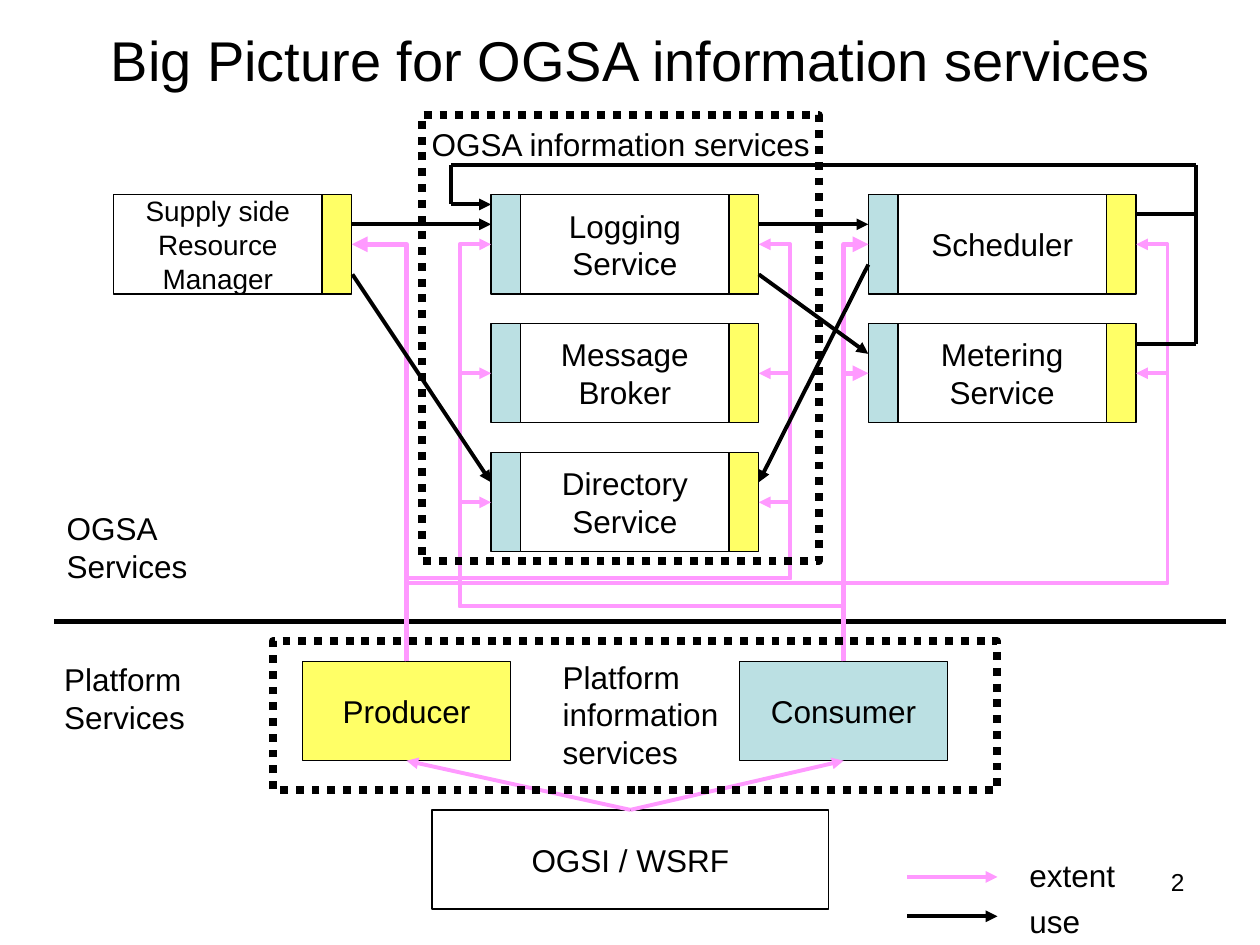
"""Build the OGSA information services overview slide."""
import pptx
import pptx.dml.color
import pptx.enum.dml
import pptx.enum.shapes
import pptx.enum.text
import pptx.oxml.ns
import pptx.util
from lxml import etree

Pt = pptx.util.Pt
qn = pptx.oxml.ns.qn
ALIGN = pptx.enum.text.PP_ALIGN
ANCHOR = pptx.enum.text.MSO_ANCHOR
CONNECTOR = pptx.enum.shapes.MSO_CONNECTOR
RECT = pptx.enum.shapes.MSO_SHAPE.RECTANGLE

FONT = "Arial"
COLORS = {"ink": "000000", "paper": "FFFFFF", "producer": "FFFF66",
          "consumer": "BBE0E3", "extent": "FF99FF"}

TITLE = "Big Picture for OGSA information services"
COLUMNS = [48, 280.6, 496.2]
ROWS = [111.3, 185, 258.7]
BODY_W, BOX_H, TAB_W, OVERSHOOT = 119, 56.7, 17, 18
SERVICES = [
    (1, 0, ["Logging", "Service"], 18),
    (1, 1, ["Message", "Broker"], 18),
    (1, 2, ["Directory", "Service"], 18),
    (2, 0, ["Scheduler"], 18),
    (2, 1, ["Metering", "Service"], 18),
    (0, 0, ["Supply side", "Resource", "Manager"], 16),
]
PLATFORM = [
    ("Producer", 172.8, 378, BODY_W, "producer"),
    ("Consumer", 422.6, 378, BODY_W, "consumer"),
    ("OGSI / WSRF", 246.8, 462.8, 226.8, "paper"),
]
EXTENTS = [
    ("Consumer", 2, "left", [1, 0], None, 3),
    ("Consumer", 1, "left", [2, 1, 0], 346.3, 2.25),
    ("Producer", 1, "right", [2, 1, 0], 330.5, 2.25),
    ("Producer", 2, "right", [1, 0], 333, 2.25),
    ("Producer", 0, "right", [0], None, 3),
]
GROUPS = [(241, 65.7, 226.8, 255.1), (155.9, 366.3, 413.9, 85)]
LABELS = [
    (["Platform", "Services"], 29.6, 373.8, 83.5, 50.4),
    (["OGSA", "Services"], 31, 287.3, 83.5, 50.4),
    (["OGSA information services"], 239.6, 67.9, 231, 28.8),
    (["Platform", "information", "services"], 314.4, 372.3, 108, 72),
    (["extent"], 581.2, 485.6, 63.4, 28.8),
    (["use"], 581.2, 512.2, 43.2, 28.8),
]
USES = [
    (201.4, 128.2, 280.6, 128.2, True),
    (201.4, 156.8, 280.6, 275.6, True),
    (433.6, 128.2, 496.2, 128.2, True),
    (433.6, 156.8, 496.2, 202.2, True),
    (257.9, 116.8, 280.6, 116.8, True),
    (257.9, 94.3, 683.2, 94.3, False),
    (649.3, 122.4, 683.2, 122.4, False),
    (683.2, 94.3, 683.2, 196.4, False),
    (257.9, 94.3, 257.9, 116.8, False),
    (649.3, 196.4, 683.2, 196.4, False),
    (496.2, 151.2, 433.6, 275.6, True),
]


def rgb(name):
    return pptx.dml.color.RGBColor.from_string(COLORS[name])


def write(tf, lines, size, align):
    for i, text in enumerate(lines):
        p = tf.paragraphs[0] if i == 0 else tf.add_paragraph()
        p.alignment = align
        r = p.add_run()
        r.text = text
        r.font.size, r.font.name = Pt(size), FONT
        r.font.color.rgb = rgb("ink")


def add_box(s, x, y, w, h, fill=None, lines=(), size=18, weight=0.75):
    sp = s.shapes.add_shape(RECT, Pt(x), Pt(y), Pt(w), Pt(h))
    sp.shadow.inherit = False
    if fill:
        sp.fill.solid()
        sp.fill.fore_color.rgb = rgb(fill)
    else:
        sp.fill.background()
    sp.line.color.rgb, sp.line.width = rgb("ink"), Pt(weight)
    tf = sp.text_frame
    tf.word_wrap, tf.vertical_anchor = False, ANCHOR.MIDDLE
    write(tf, lines, size, ALIGN.CENTER)
    return sp


def add_label(s, lines, x, y, w, h, size=18, align=ALIGN.LEFT, wrap=False):
    tf = s.shapes.add_textbox(Pt(x), Pt(y), Pt(w), Pt(h)).text_frame
    tf.word_wrap = wrap
    write(tf, lines, size, align)


def add_line(s, x1, y1, x2, y2, color="ink", weight=2.25, arrow=True, kind=CONNECTOR.STRAIGHT):
    c = s.shapes.add_connector(kind, Pt(x1), Pt(y1), Pt(x2), Pt(y2))
    c.line.color.rgb, c.line.width = rgb(color), Pt(weight)
    if arrow:
        etree.SubElement(c.line._get_or_add_ln(), qn("a:tailEnd"), type="triangle")
    etree.SubElement(c.element.spPr, qn("a:effectLst"))
    return c


def add_riser(s, x1, y1, x2, y2, bus, weight):
    c = add_line(s, x1, y1, x2, y2, "extent", weight, kind=CONNECTOR.ELBOW)
    dx, dy = abs(x2 - x1), y1 - y2
    c.left, c.top = Pt((x1 + x2 - dy) / 2), Pt((y1 + y2 - dx) / 2)
    c.width, c.height = Pt(dy), Pt(dx)
    rightward = x2 > x1
    c.rotation = 90 if rightward else 270
    xfrm = c.element.spPr.find(qn("a:xfrm"))
    xfrm.set("flipH", "1" if rightward else "0")
    xfrm.set("flipV", "1")
    geom = c.element.spPr.find(qn("a:prstGeom"))
    geom.set("prst", "bentConnector4" if bus else "bentConnector2")
    if bus:
        for name, ratio in (("adj1", (y1 - bus) / dy), ("adj2", 1 + OVERSHOOT / dx)):
            etree.SubElement(geom.find(qn("a:avLst")), qn("a:gd"), name=name,
                             fmla=f"val {round(ratio * 100000)}")


def main():
    prs = pptx.Presentation()
    prs.slide_width, prs.slide_height = Pt(720), Pt(540)
    s = prs.slides.add_slide(prs.slide_layouts[5])

    title = s.shapes.title
    title.left, title.top, title.width, title.height = Pt(36.7), Pt(20.2), Pt(648), Pt(27.4)
    title.text_frame.vertical_anchor = ANCHOR.MIDDLE
    write(title.text_frame, [TITLE], 32, ALIGN.CENTER)

    right_tab = TAB_W + BODY_W
    for col, row, lines, size in SERVICES:
        x, y = COLUMNS[col], ROWS[row]
        add_box(s, x + TAB_W, y, BODY_W, BOX_H, "paper", lines, size)
        if col:
            add_box(s, x, y, TAB_W, BOX_H, "consumer")
        add_box(s, x + right_tab, y, TAB_W, BOX_H, "producer")

    add_line(s, 31, 355, 700.6, 355, weight=3, arrow=False)
    boxes = {name: add_box(s, x, y, w, BOX_H, fill, [name])
             for name, x, y, w, fill in PLATFORM}
    for name in ("Producer", "Consumer"):
        c = add_line(s, 0, 0, 1, 1, "extent")
        c.begin_connect(boxes["OGSI / WSRF"], 0)
        c.end_connect(boxes[name], 2)

    for name, col, side, rows, bus, weight in EXTENTS:
        source = boxes[name]
        x1, y1 = (source.left + source.width / 2) / Pt(1), source.top / Pt(1)
        x2 = COLUMNS[col] + (right_tab + TAB_W if side == "right" else 0)
        for row in rows:
            add_riser(s, x1, y1, x2, ROWS[row] + BOX_H / 2, bus, weight)

    for group in GROUPS:
        frame = add_box(s, *group, weight=4.5)
        frame.line.dash_style = pptx.enum.dml.MSO_LINE.ROUND_DOT
    for label in LABELS:
        add_label(s, *label)
    for x1, y1, x2, y2, arrow in USES:
        add_line(s, x1, y1, x2, y2, arrow=arrow)
    for y, color in ((501.1, "extent"), (523.6, "ink")):
        add_line(s, 518.4, y, 570, y, color)
    add_label(s, ["2"], 516.2, 491.8, 167.8, 37.4, 14, ALIGN.RIGHT, True)

    prs.save("out.pptx")


if __name__ == "__main__":
    main()
